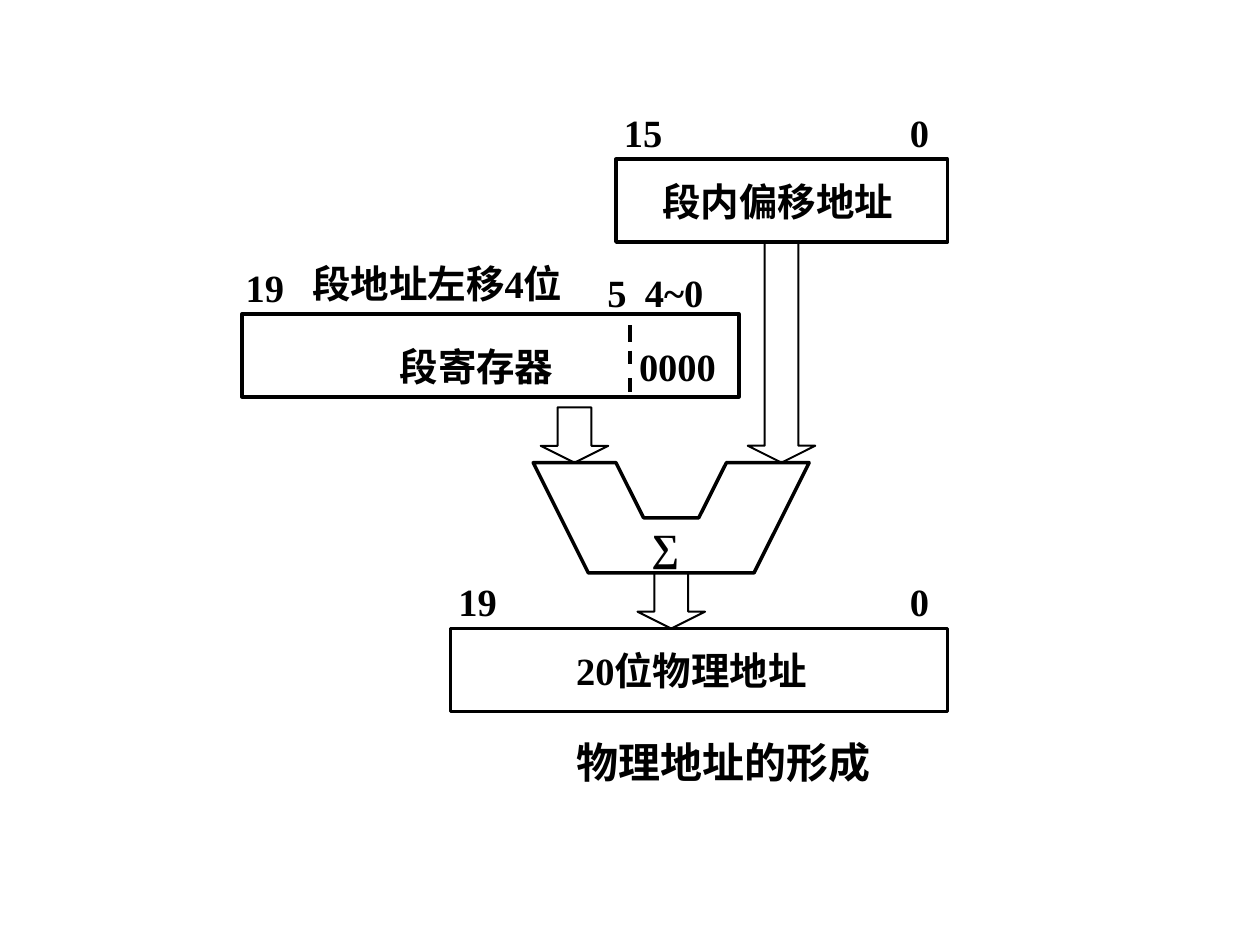
from pptx import Presentation
from pptx.dml.color import RGBColor
from pptx.enum import shapes, text
from pptx.oxml.ns import qn
from pptx.util import Pt
from lxml import etree

BLACK = RGBColor(0, 0, 0)
WHITE = RGBColor(255, 255, 255)
FONT = "Times New Roman"


def style(sp, weight):
    """Give a shape a white fill and a black outline."""
    sp.shadow.inherit = False
    sp.fill.solid()
    sp.fill.fore_color.rgb = WHITE
    sp.line.color.rgb = BLACK
    sp.line.width = Pt(weight)


def label(slide, x, y, words, size=22):
    """Place a bold one-line label with its top left corner at x, y."""
    width = size / 2 + sum(size / 2 if c.isascii() else size for c in words)
    tf = slide.shapes.add_textbox(Pt(x), Pt(y), Pt(width), Pt(size * 1.2)).text_frame
    tf.margin_left = tf.margin_right = tf.margin_top = tf.margin_bottom = 0
    tf.word_wrap = False
    tf.auto_size = text.MSO_AUTO_SIZE.SHAPE_TO_FIT_TEXT
    p = tf.paragraphs[0]
    p.text = words
    p.alignment = text.PP_ALIGN.LEFT
    p.font.name, p.font.size, p.font.bold = FONT, Pt(size), True
    p.font.color.rgb = BLACK


def register(slide, x, y, w, h, labels):
    """Draw a register box with labels offset from its top left corner."""
    sp = slide.shapes.add_shape(shapes.MSO_SHAPE.RECTANGLE, Pt(x), Pt(y), Pt(w), Pt(h))
    style(sp, 2)
    for dx, dy, words in labels:
        label(slide, x + dx, y + dy, words)


def divider(slide, x, y, dashes):
    """Draw the vertical dashes that part the low four bits."""
    for top, bottom in dashes:
        line = slide.shapes.add_connector(
            shapes.MSO_CONNECTOR.STRAIGHT, Pt(x), Pt(y + top), Pt(x), Pt(y + bottom))
        line.line.color.rgb = BLACK
        line.line.width = Pt(2)
        etree.SubElement(line._element.spPr, qn("a:effectLst"))


def arrow(slide, center, top, bottom, width=38.6):
    """Draw a block arrow pointing down, its head a quarter as tall as wide."""
    height = bottom - top
    sp = slide.shapes.add_shape(
        shapes.MSO_SHAPE.DOWN_ARROW, Pt(center - width / 2), Pt(top), Pt(width), Pt(height))
    sp.adjustments[0] = 0.5
    sp.adjustments[1] = width / 4 / min(width, height)
    style(sp, 1.13)


def adder(slide, x, y, w, h):
    """Draw the notched adder with its sum sign."""
    outline = [(0.7, 0), (0.6, 0.5), (0.4, 0.5), (0.3, 0),
               (0, 0), (0.2, 1), (0.8, 1), (1, 0)]
    points = [(Pt(x + fx * w), Pt(y + fy * h)) for fx, fy in outline]
    builder = slide.shapes.build_freeform(*points[0])
    builder.add_line_segments(points[1:], close=True)
    style(builder.convert_to_shape(), 2)
    label(slide, x + 67.7, y + 34.6, "∑")


def main():
    """Build the slide and save it."""
    prs = Presentation()
    prs.slide_width, prs.slide_height = Pt(720), Pt(540)
    slide = prs.slides.add_slide(prs.slide_layouts[6])
    arrow(slide, 328.3, 232.8, 264.4)
    arrow(slide, 446.6, 138.2, 264.4)
    arrow(slide, 383.6, 327.4, 359.2)
    adder(slide, 304.7, 264.4, 157.7, 63)
    register(slide, 352, 91, 189.4, 47.4, [
        (4.6, -28.6, "15"), (167.9, -28.6, "0"), (26.6, 10.6, "段内偏移地址")])
    register(slide, 138.2, 179.4, 284, 47.4, [
        (2.2, -28.8, "19"), (40.4, -30.6, "段地址左移4位"), (208.9, -25.6, "5"),
        (230.4, -25.6, "4~0"), (90.2, 16.5, "段寄存器"), (227, 16.5, "0000")])
    divider(slide, 360, 179.4, [(6.5, 15.8), (20.9, 28.8), (36.7, 44.6)])
    register(slide, 257.4, 359.2, 284, 47.4, [
        (4.6, -28.8, "19"), (262.6, -28.8, "0"), (71.8, 10.6, "20位物理地址")])
    label(slide, 329.4, 421, "物理地址的形成", 24)
    prs.save("out.pptx")


if __name__ == "__main__":
    main()
